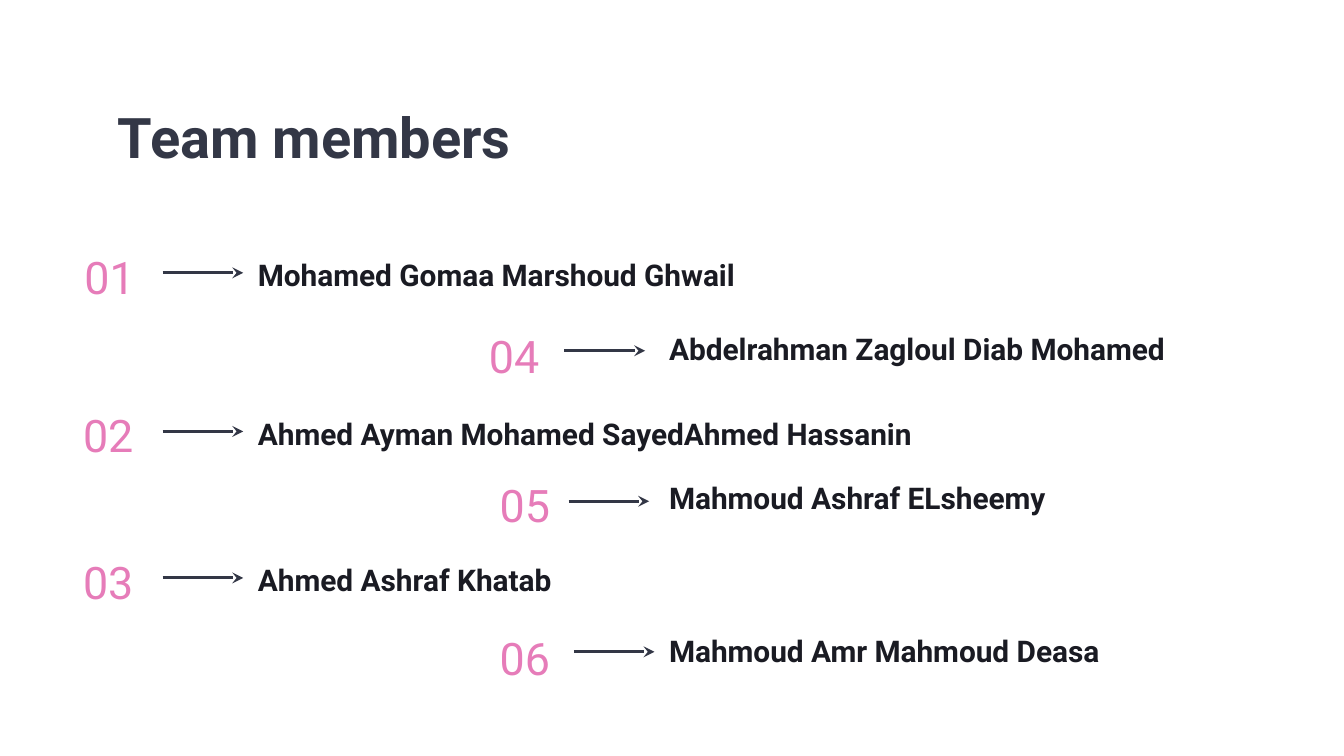
from dataclasses import dataclass

from lxml import etree
from pptx import Presentation
from pptx.dml.color import RGBColor
from pptx.enum.shapes import MSO_CONNECTOR
from pptx.enum.text import MSO_ANCHOR
from pptx.oxml.ns import qn
from pptx.util import Inches, Pt

STRAIGHT = MSO_CONNECTOR.STRAIGHT
TOP, MIDDLE = MSO_ANCHOR.TOP, MSO_ANCHOR.MIDDLE


@dataclass(frozen=True)
class Theme:
    font: str = "Roboto"
    background: str = "FFFFFF"
    heading: str = "333746"
    number: str = "E67CB9"
    name: str = "1A1B23"
    heading_size: int = 30
    number_size: int = 24
    name_size: int = 16
    line_width: float = 1.5


THEME = Theme()
SLIDE_W = 10
SLIDE_H = SLIDE_W * 9 / 16
TITLE = "Team members"

# number, name, number left, row top, arrow left, arrow height on the slide
LEFT_MEMBERS = [
    ("01", "Mohamed Gomaa Marshoud Ghwail", 0.53, 1.74, 1.21, 2.03),
    ("02", "Ahmed Ayman Mohamed SayedAhmed Hassanin", 0.52, 2.92, 1.21, 3.21),
    ("03", "Ahmed Ashraf Khatab", 0.52, 4.01, 1.21, 4.30),
]
RIGHT_MEMBERS = [
    ("04", "Abdelrahman Zagloul Diab Mohamed", 3.54, 2.33, 4.20, 2.61),
    ("05", "Mahmoud Ashraf ELsheemy", 3.62, 3.44, 4.23, 3.73),
    ("06", "Mahmoud Amr Mahmoud Deasa", 3.62, 4.58, 4.27, 4.85),
]
# members, name left, name width, name drop below row top, name height, format
COLUMNS = [
    (LEFT_MEMBERS, 1.82, 6.98, 0, 0.57, {}),
    (RIGHT_MEMBERS, 4.88, 5, 0.08, 0.37,
     {"anchor": TOP, "inset": 0.05, "spacing": None}),
]
NUMBER_W, NUMBER_H = 1.46, 0.57
ARROW_LENGTH = 0.6


def add_text(s, text, x, y, w, h, *, size, color, bold=False,
             anchor=MIDDLE, inset=0.1, spacing=1.15):
    """Add a one-line text box; inset is the top and bottom margin."""
    tf = s.shapes.add_textbox(Inches(x), Inches(y), Inches(w), Inches(h)).text_frame
    tf.word_wrap = True
    tf.vertical_anchor = anchor
    tf.margin_left = tf.margin_right = Inches(0.1)
    tf.margin_top = tf.margin_bottom = Inches(inset)
    p = tf.paragraphs[0]
    p.line_spacing = spacing
    r = p.add_run()
    r.text = text
    r.font.name = THEME.font
    r.font.size = Pt(size)
    r.font.bold = bold
    r.font.color.rgb = RGBColor.from_string(color)


def add_arrow(s, x, y):
    arrow = s.shapes.add_connector(STRAIGHT, Inches(x), Inches(y),
                                   Inches(x + ARROW_LENGTH), Inches(y))
    arrow.line.color.rgb = RGBColor.from_string(THEME.heading)
    arrow.line.width = Pt(THEME.line_width)
    props = arrow._element.spPr
    etree.SubElement(props.find(qn("a:ln")), qn("a:tailEnd"), type="stealth")
    etree.SubElement(props, qn("a:effectLst"))


def main():
    prs = Presentation()
    prs.slide_width, prs.slide_height = Inches(SLIDE_W), Inches(SLIDE_H)
    s = prs.slides.add_slide(prs.slide_layouts[6])
    s.background.fill.solid()
    s.background.fill.fore_color.rgb = RGBColor.from_string(THEME.background)

    add_text(s, TITLE, 0.78, 0.59, 8.44, 0.77, size=THEME.heading_size,
             color=THEME.heading, bold=True, anchor=TOP)
    for members, name_x, name_w, drop, name_h, name_format in COLUMNS:
        for number, name, number_x, y, arrow_x, arrow_y in members:
            add_text(s, number, number_x, y, NUMBER_W, NUMBER_H,
                     size=THEME.number_size, color=THEME.number)
            add_arrow(s, arrow_x, arrow_y)
            add_text(s, name, name_x, y + drop, name_w, name_h,
                     size=THEME.name_size, color=THEME.name, bold=True,
                     **name_format)
    prs.save("out.pptx")


if __name__ == "__main__":
    main()
